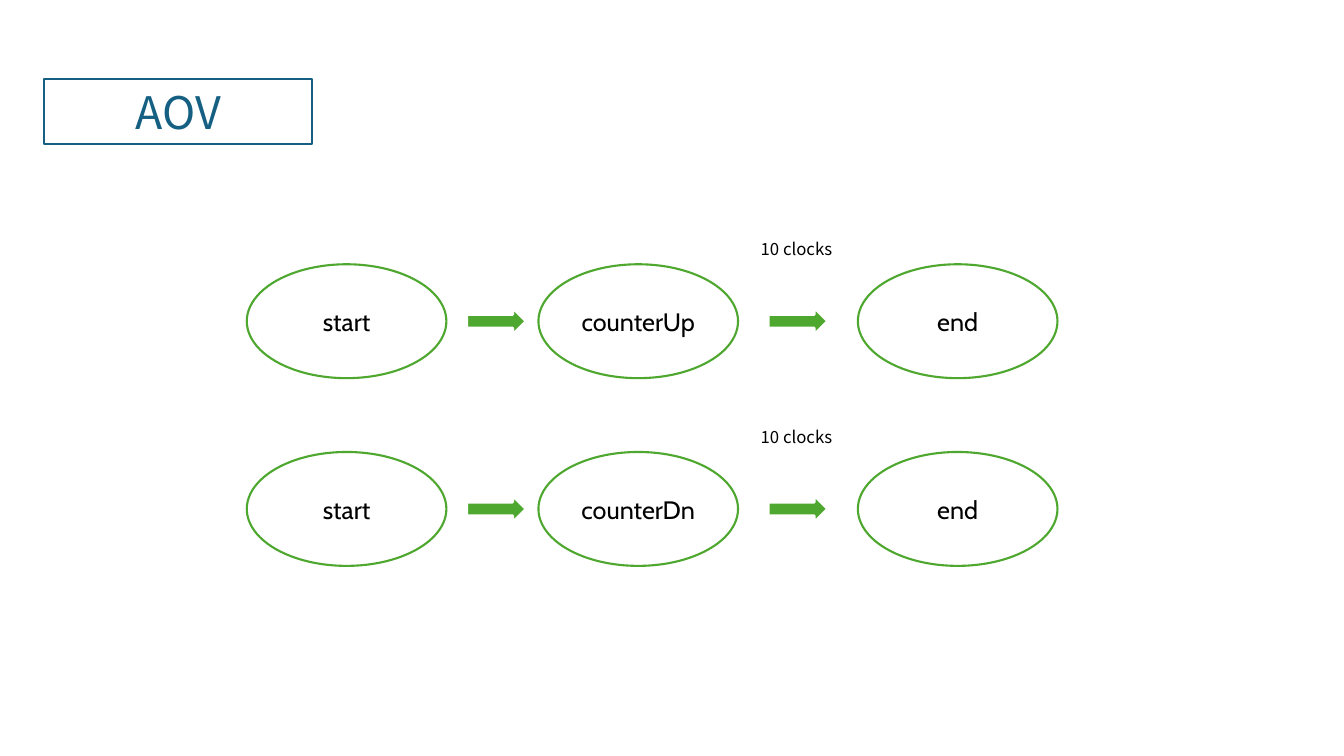
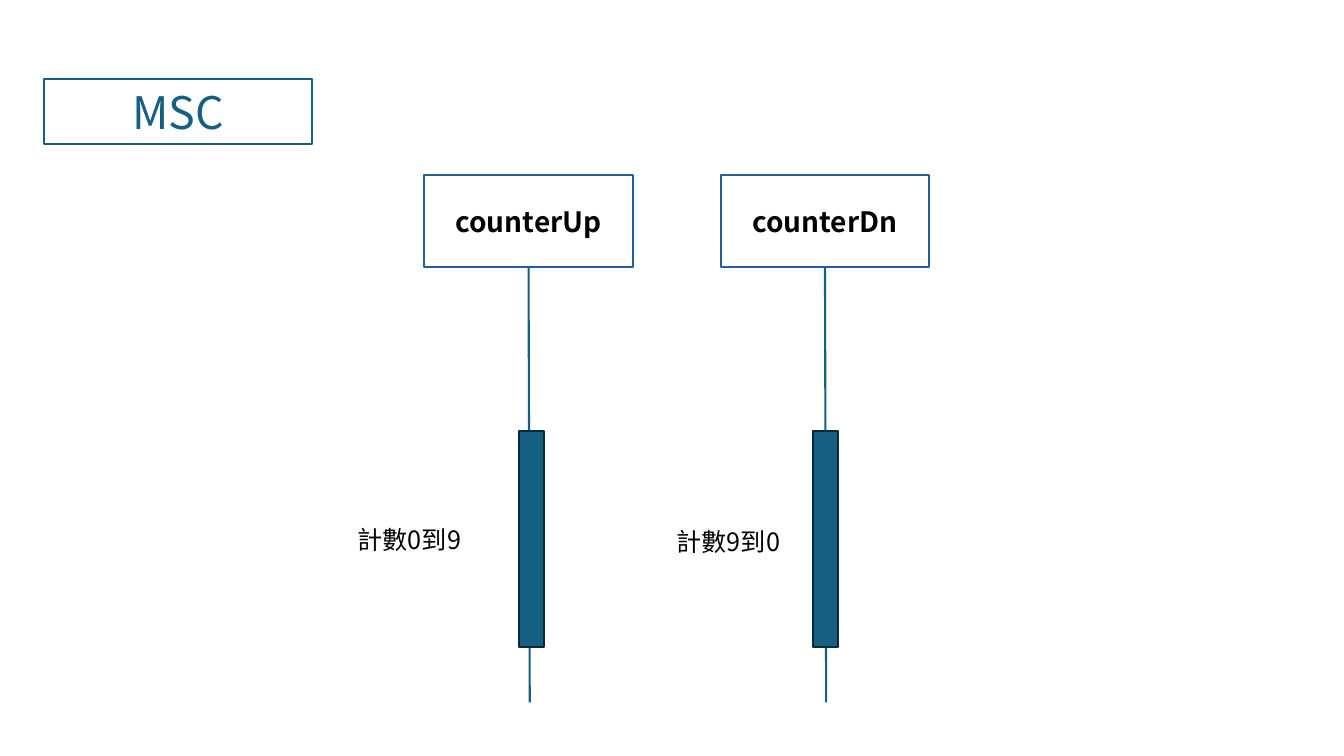
import dataclasses

import lxml.etree
import pptx
import pptx.dml.color
import pptx.enum.shapes
import pptx.enum.text
import pptx.oxml.ns
import pptx.util

Cm = pptx.util.Cm
Pt = pptx.util.Pt
Shape = pptx.enum.shapes.MSO_SHAPE
Align = pptx.enum.text.PP_ALIGN
Anchor = pptx.enum.text.MSO_ANCHOR


@dataclasses.dataclass(frozen=True)
class Theme:
    teal: str = "156082"
    dark_teal: str = "092A39"
    blue: str = "215F9A"
    green: str = "4EA72E"
    white: str = "FFFFFF"
    black: str = "000000"
    sans: str = "Noto Sans CJK SC"
    rounded: str = "Cabin"
    title_size: int = 32
    head_size: int = 20
    body_size: int = 18
    small_size: int = 12
    line_width: float = 1.5


THEME = Theme()


def rgb(value):
    return pptx.dml.color.RGBColor.from_string(value)


def write_text(shape, text, size=THEME.body_size, font=THEME.sans,
               color=THEME.black, bold=False, align=Align.CENTER,
               anchor=Anchor.MIDDLE, padding=0.0, line_height=None):
    """Fill a shape with one formatted paragraph; padding is in centimetres."""
    frame = shape.text_frame
    frame.word_wrap = True
    frame.vertical_anchor = anchor
    frame.margin_left = frame.margin_right = Cm(padding)
    frame.margin_top = frame.margin_bottom = Cm(padding / 2)
    para = frame.paragraphs[0]
    para.alignment = align
    if line_height:
        para.line_spacing = Pt(line_height)
    span = para.add_run()
    span.text = text
    span.font.size = Pt(size)
    span.font.name = font
    span.font.bold = bold
    span.font.color.rgb = rgb(color)
    east_asian = lxml.etree.SubElement(span.font._element, pptx.oxml.ns.qn("a:ea"))
    east_asian.set("typeface", font)


def add_box(page, kind, left, top, width, height, fill, line,
            line_width=THEME.line_width):
    box = page.shapes.add_shape(kind, Cm(left), Cm(top), Cm(width), Cm(height))
    box.shadow.inherit = False
    if fill:
        box.fill.solid()
        box.fill.fore_color.rgb = rgb(fill)
    else:
        box.fill.background()
    box.line.color.rgb = rgb(line)
    box.line.width = Pt(line_width)
    return box


def add_label(page, text, left, top, width, height, **text_format):
    label = page.shapes.add_textbox(Cm(left), Cm(top), Cm(width), Cm(height))
    write_text(label, text, align=Align.LEFT, anchor=Anchor.TOP,
               padding=0.25, **text_format)


def add_line(page, start, end, color):
    line = page.shapes.add_connector(
        pptx.enum.shapes.MSO_CONNECTOR.STRAIGHT, *map(Cm, start + end))
    line.line.color.rgb = rgb(color)
    line.line.width = Pt(THEME.line_width)
    lxml.etree.SubElement(line._element.spPr, pptx.oxml.ns.qn("a:effectLst"))


def add_titled_page(deck, title):
    page = deck.slides.add_slide(deck.slide_layouts[6])
    box = add_box(page, Shape.RECTANGLE, 1.12, 2, 6.75, 1.64,
                  THEME.white, THEME.teal)
    write_text(box, title, size=THEME.title_size, color=THEME.teal)
    return page


def add_flow(page, top, activity):
    """Draw start, activity and end in a row, with arrows between them."""
    width, height = 5.03, 2.87
    arrow_width, arrow_height = 1.5, 0.68
    for text, left in (("start", 6.22), (activity, 13.57), ("end", 21.62)):
        node = add_box(page, Shape.OVAL, left, top, width, height,
                       THEME.white, THEME.green)
        write_text(node, text, font=THEME.rounded)
    for left in (11.76, 19.36):
        add_box(page, Shape.RIGHT_ARROW, left, top + (height - arrow_height) / 2,
                arrow_width, arrow_height, THEME.green, THEME.white, line_width=2)
    add_label(page, "10 clocks", 18.92, top - 0.76, 2.4, 0.76,
              size=THEME.small_size)


def add_lifeline(page, name, left, bar_left, note, note_left, note_top):
    """Draw a named head, its vertical line, its activity bar and a note."""
    top, width, height = 4.42, 5.26, 2.32
    head = add_box(page, Shape.RECTANGLE, left, top, width, height,
                   None, THEME.blue)
    write_text(head, name, size=THEME.head_size, bold=True)
    middle = left + width / 2
    add_line(page, (middle, top + height), (middle + 0.03, 17.7), THEME.teal)
    add_box(page, Shape.RECTANGLE, bar_left, 10.87, 0.62, 5.44,
            THEME.teal, THEME.dark_teal)
    add_label(page, note, note_left, note_top, 3.17, 1.02, line_height=21.5)


def main():
    deck = pptx.Presentation()
    deck.slide_width, deck.slide_height = Cm(33.87), Cm(19.05)

    page = add_titled_page(deck, "AOV")
    add_flow(page, 6.66, "counterUp")
    add_flow(page, 11.39, "counterDn")

    page = add_titled_page(deck, "MSC")
    add_lifeline(page, "counterUp", 10.69, 13.08, "計數0到9", 8.76, 13.1)
    add_lifeline(page, "counterDn", 18.16, 20.5, "計數9到0", 16.8, 13.14)

    deck.save("out.pptx")


if __name__ == "__main__":
    main()
